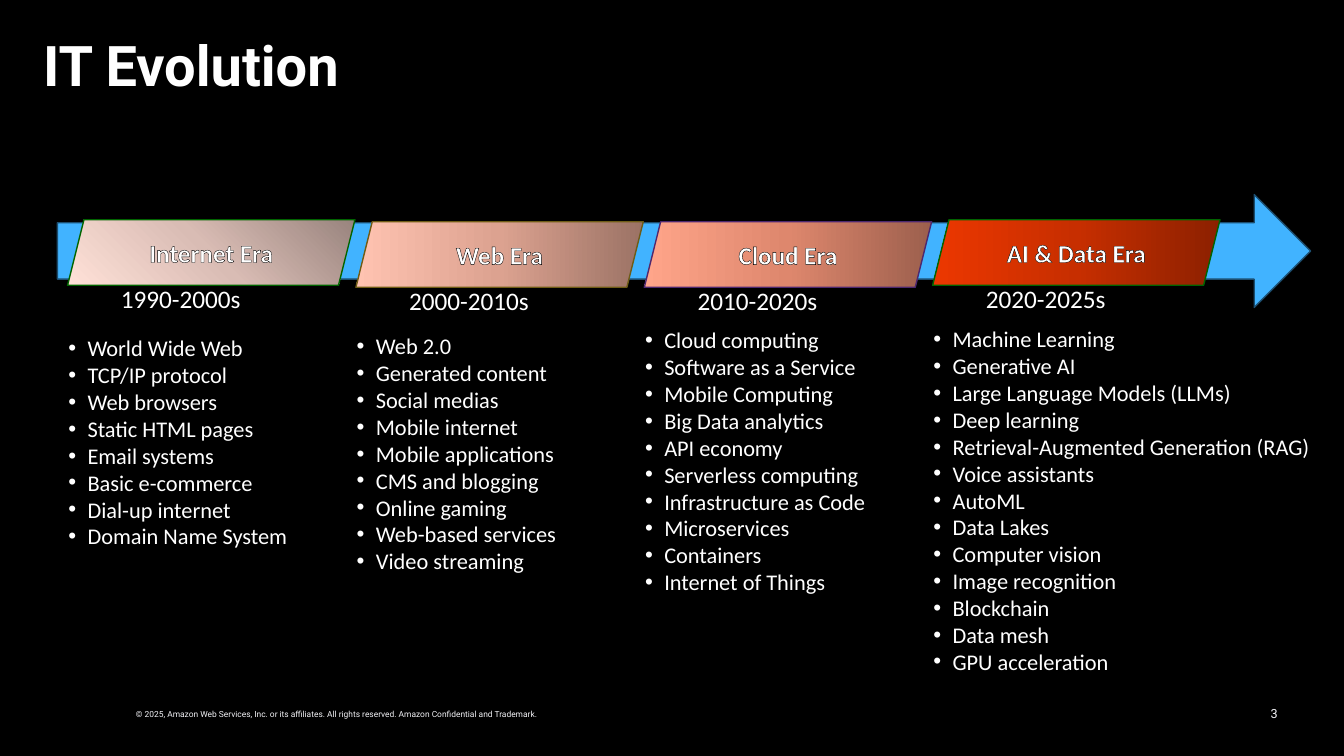
from collections import namedtuple

from pptx import Presentation, util as u
from pptx.dml.color import RGBColor
from pptx.enum import shapes, text
from pptx.oxml import parse_xml
from pptx.oxml.ns import nsdecls, qn

Box = namedtuple("Box", "left top width height")
Era = namedtuple("Era", "name years drop list_top list_width line stops shade items")

WIDTH, HEIGHT = 13.33, 7.5
COLUMN_LEFT, COLUMN_PITCH = 0.67, 2.86
BANNER_TOP, BANNER_WIDTH, BANNER_HEIGHT = 2.18, 2.85, 0.65
WHITE, PALE = "FFFFFF", "F3F3F7"
LINEAR = '<a:lin ang="10800000" scaled="0"/>'
RADIAL = '<a:path path="circle"><a:fillToRect l="100000" b="100000"/></a:path>'

ERAS = [
    Era("Internet Era", "1990-2000s", 0, 3.27, 3, "006400",
        ("99847E", "D9BCB4", "FFE1D8"), RADIAL,
        ["World Wide Web", "TCP/IP protocol", "Web browsers", "Static HTML pages",
         "Email systems", "Basic e-commerce", "Dial-up internet", "Domain Name System"]),
    Era("Web Era", "2000-2010s", 0.02, 3.25, 3, "6E5C16",
        ("9B7265", "DCA290", "FFC3B1"), LINEAR,
        ["Web 2.0", "Generated content", "Social medias", "Mobile internet",
         "Mobile applications", "CMS and blogging", "Online gaming",
         "Web-based services", "Video streaming"]),
    Era("Cloud Era", "2010-2020s", 0.02, 3.19, 3, "4C2870",
        ("9C5F4D", "DE876D", "FFA58A"), LINEAR,
        ["Cloud computing", "Software as a Service", "Mobile Computing",
         "Big Data analytics", "API economy", "Serverless computing",
         "Infrastructure as Code", "Microservices", "Containers", "Internet of Things"]),
    Era("AI & Data Era", "2020-2025s", 0, 3.18, 4, "006400",
        ("8C2000", "C72E00", "EC3700"), LINEAR,
        ["Machine Learning", "Generative AI", "Large Language Models (LLMs)",
         "Deep learning", "Retrieval-Augmented Generation (RAG)", "Voice assistants",
         "AutoML", "Data Lakes", "Computer vision", "Image recognition", "Blockchain",
         "Data mesh", "GPU acceleration"]),
]


def color(value):
    """Turn a hex string into a colour."""
    return RGBColor.from_string(value)


def inches(box):
    """Turn a box into the four lengths of a shape."""
    return [u.Inches(length) for length in box]


def style(para, size, name="Calibri", ink=WHITE, bold=False):
    """Set the font of a whole paragraph."""
    font = para.font
    font.size, font.name, font.bold = u.Pt(size), name, bold
    font.color.rgb = color(ink)


def add_text(page, box, lines, size, bullets=False, wrap=True, **look):
    """Add a text box with one paragraph a line."""
    frame = page.shapes.add_textbox(*inches(box)).text_frame
    frame.word_wrap = wrap
    for index, line in enumerate(lines):
        para = frame.add_paragraph() if index else frame.paragraphs[0]
        para.text = line
        if bullets:
            layout = para._p.get_or_add_pPr()
            layout.set("marL", str(u.Inches(0.19)))
            layout.set("indent", str(-u.Inches(0.19)))
            layout.append(parse_xml(f'<a:buFont {nsdecls("a")} typeface="Arial"/>'))
            layout.append(parse_xml(f'<a:buChar {nsdecls("a")} char="•"/>'))
        style(para, size, **look)
    return frame


def add_outlined(page, kind, box, line):
    """Add a preset shape with a thin line and no shadow."""
    shape = page.shapes.add_shape(kind, *inches(box))
    shape.shadow.inherit = False
    shape.line.color.rgb = color(line)
    shape.line.width = u.Pt(1)
    return shape


def add_banner(page, box, era):
    """Draw the slanted, shaded banner that names an era."""
    banner = add_outlined(page, shapes.MSO_SHAPE.PARALLELOGRAM, box, era.line)
    banner.fill.gradient()
    stops = "".join(
        f'<a:gs pos="{index * 50000}"><a:srgbClr val="{value}"/></a:gs>'
        for index, value in enumerate(era.stops))
    plain = banner.element.spPr.find(qn("a:gradFill"))
    plain.getparent().replace(plain, parse_xml(
        f'<a:gradFill {nsdecls("a")} rotWithShape="1">'
        f'<a:gsLst>{stops}</a:gsLst>{era.shade}</a:gradFill>'))
    frame = banner.text_frame
    frame.vertical_anchor = text.MSO_ANCHOR.MIDDLE
    para = frame.paragraphs[0]
    para.alignment = text.PP_ALIGN.CENTER
    span = para.add_run()
    span.text = era.name
    style(para, 18, bold=True)
    span._r.get_or_add_rPr().insert(0, parse_xml(
        f'<a:ln {nsdecls("a")} w="9525"><a:solidFill>'
        '<a:srgbClr val="000000"/></a:solidFill></a:ln>'))


def add_era(page, box, era):
    """Fill one column with a banner, its years and its list."""
    top = box.top + era.drop
    add_banner(page, Box(box.left, top, box.width, BANNER_HEIGHT), era)
    add_text(page, Box(box.left + 0.43, top + 0.58, 1.76, 0.4), [era.years], 18)
    add_text(page, Box(box.left - 0.09, era.list_top, era.list_width,
                       0.1 + 0.27 * len(era.items)), era.items, 16, bullets=True)


def add_timeline(page, box):
    """Draw the long arrow and the eras along it."""
    arrow = add_outlined(page, shapes.MSO_SHAPE.RIGHT_ARROW, box, "1C4E70")
    arrow.fill.solid()
    arrow.fill.fore_color.rgb = color("41B3FF")
    for index, era in enumerate(ERAS):
        left = COLUMN_LEFT + index * COLUMN_PITCH
        add_era(page, Box(left, BANNER_TOP, BANNER_WIDTH, HEIGHT - BANNER_TOP), era)


def add_header(page, box):
    """Write the title."""
    frame = add_text(page, box, ["IT Evolution"], 40, name="Roboto", bold=True)
    frame.paragraphs[0].line_spacing = 0.9


def add_footer(page, box):
    """Write the copyright line and the page number."""
    notice = ("© 2025, Amazon Web Services, Inc. or its affiliates. "
              "All rights reserved. Amazon Confidential and Trademark.")
    add_text(page, Box(box.left, box.top + 0.11, 4.31, 0.2), [notice], 6,
             wrap=False, name="Roboto", ink=PALE)
    number = add_text(page, Box(box.left + box.width - 3, box.top, 3, box.height),
                      ["3"], 9, name="Roboto", ink=PALE)
    number.vertical_anchor = text.MSO_ANCHOR.MIDDLE
    number.paragraphs[0].alignment = text.PP_ALIGN.RIGHT


def main():
    """Build the deck and save it."""
    deck = Presentation()
    deck.slide_width, deck.slide_height = u.Inches(WIDTH), u.Inches(HEIGHT)
    page = deck.slides.add_slide(deck.slide_layouts[6])
    page.background.fill.solid()
    page.background.fill.fore_color.rgb = color("000000")
    add_footer(page, Box(1.25, 6.88, 11.52, 0.4))
    add_header(page, Box(0.33, 0.33, 12, 0.65))
    add_timeline(page, Box(0.57, 1.93, 12.43, 1.12))
    deck.save("out.pptx")


if __name__ == "__main__":
    main()
